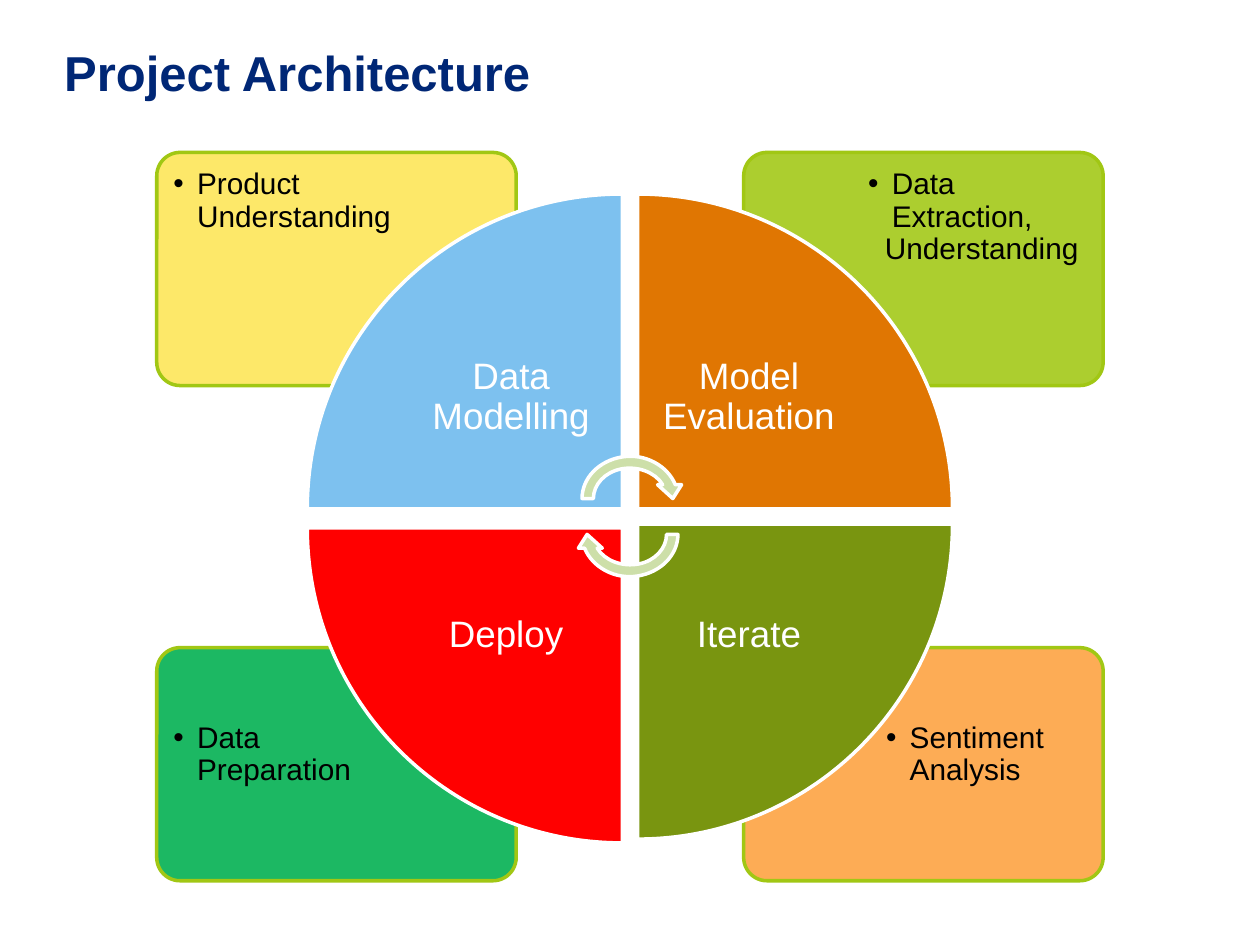
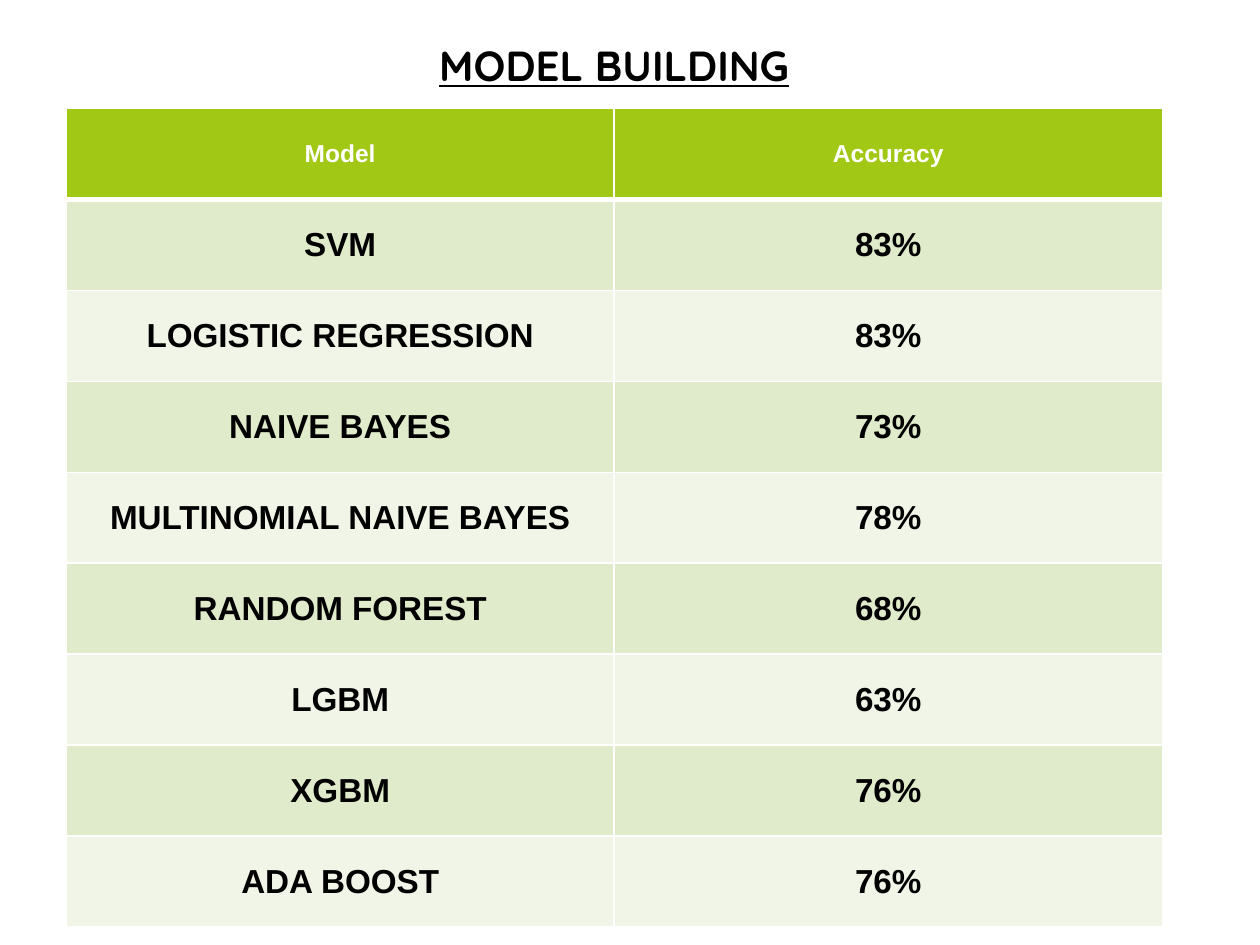
"""Builds two slides: a project architecture cycle and a table of model accuracies."""
from math import cos, radians, sin

from lxml.etree import Element, SubElement
from pptx import Presentation
from pptx.dml.color import RGBColor
from pptx.enum.shapes import MSO_SHAPE as SHAPE
from pptx.enum.text import MSO_ANCHOR as ANCHOR, MSO_AUTO_SIZE as AUTO_SIZE, PP_ALIGN as ALIGN
from pptx.oxml.ns import qn
from pptx.util import Pt

NAVY = RGBColor(0x00, 0x27, 0x76)
BLACK = RGBColor(0x00, 0x00, 0x00)
WHITE = RGBColor(0xFF, 0xFF, 0xFF)
LIME_EDGE = RGBColor(0xA1, 0xC7, 0x14)
LIME = RGBColor(0xA2, 0xC8, 0x16)
YELLOW = RGBColor(0xFD, 0xE6, 0x57)
GREEN = RGBColor(0x00, 0xB0, 0x50)
PEACH = RGBColor(0xFD, 0xAC, 0x55)
BLUE = RGBColor(0x7D, 0xC1, 0xEF)
ORANGE = RGBColor(0xE0, 0x76, 0x02)
OLIVE = RGBColor(0x79, 0x95, 0x10)
RED = RGBColor(0xFF, 0x00, 0x00)
ARROW_GREEN = RGBColor(0xCD, 0xDF, 0xA9)
BAND_DARK = RGBColor(0xDF, 0xEB, 0xCA)
BAND_LIGHT = RGBColor(0xF0, 0xF5, 0xE7)


def write(para, text, size, color, bold=False, font="Arial"):
    span = para.add_run()
    span.text = text
    span.font.name = font
    span.font.size = Pt(size)
    span.font.bold = bold
    span.font.color.rgb = color
    return span


def draw_outline(page, center, scale, segments, color):
    corners = [
        (Pt(center[0] + scale * x), Pt(center[1] + scale * y))
        for segment in segments for x, y in segment
    ]
    builder = page.shapes.build_freeform(*corners[0], scale=1.0)
    builder.add_line_segments(corners[1:], close=True)
    outline = builder.convert_to_shape()
    steps = list(outline._element.iter(qn("a:lnTo")))
    for segment in segments[1:]:
        taken, steps = steps[:len(segment)], steps[len(segment):]
        if len(taken) == 3:
            curve = Element(qn("a:cubicBezTo"))
            taken[0].addprevious(curve)
            for step in taken:
                curve.append(step[0])
                step.getparent().remove(step)
    outline.shadow.inherit = False
    outline.fill.solid()
    outline.fill.fore_color.rgb = color
    outline.line.color.rgb = WHITE
    outline.line.width = Pt(2)


deck = Presentation()
deck.slide_width, deck.slide_height = Pt(720), Pt(540)

titles = [
    ("Project Architecture", (29.5, 20.6, 483, 41), ALIGN.LEFT, ANCHOR.TOP, 28, NAVY, "Arial", False),
    ("MODEL BUILDING", (79.4, 8.2, 543, 57.6), ALIGN.CENTER, ANCHOR.MIDDLE, 24, BLACK, "Quicksand", True),
]
pages = []
for text, place, align, anchor, size, color, font, underlined in titles:
    page = deck.slides.add_slide(deck.slide_layouts[5])
    title = page.shapes.title
    title.left, title.top, title.width, title.height = map(Pt, place)
    title.text_frame.auto_size = AUTO_SIZE.NONE
    title.text_frame.vertical_anchor = anchor
    para = title.text_frame.paragraphs[0]
    para.alignment = align
    span = write(para, text, size, color, True, font)
    span.font.underline = underlined
    pages.append(page)
cycle_page, table_page = pages

cards = [
    (425, 370.1, PEACH, 100, 499.9, 127.4, 406.4, ["Sentiment Analysis"]),
    (89.6, 370.1, GREEN, 89, 92.6, 138.2, 406.4, ["Data Preparation"]),
    (425, 87.1, LIME, 89, 489.6, 138.2, 90.2, ["Data Extraction,", "Understanding"]),
    (89.6, 87.1, YELLOW, 89, 92.6, 138.2, 90.2, ["Product Understanding"]),
]
for left, top, color, opacity, text_left, text_width, text_top, lines in cards:
    card = cycle_page.shapes.add_shape(SHAPE.ROUNDED_RECTANGLE, Pt(left), Pt(top), Pt(205.4), Pt(133.2))
    card.adjustments[0] = 0.1
    card.shadow.inherit = False
    card.fill.solid()
    card.fill.fore_color.rgb = color
    if opacity < 100:
        tint = card._element.spPr.find(qn("a:solidFill"))[0]
        SubElement(tint, qn("a:alpha"), val=str(opacity * 1000))
    card.line.color.rgb = LIME_EDGE
    card.line.width = Pt(2)

    box = cycle_page.shapes.add_textbox(Pt(text_left), Pt(text_top), Pt(text_width), Pt(94.3))
    frame = box.text_frame
    frame.word_wrap = True
    frame.margin_left = frame.margin_right = frame.margin_top = frame.margin_bottom = Pt(6.5)
    for index, line in enumerate(lines):
        para = frame.paragraphs[0] if index == 0 else frame.add_paragraph()
        para.line_spacing = 0.9
        para.alignment = ALIGN.JUSTIFY if len(lines) > 1 else ALIGN.LEFT
        write(para, line, 17, BLACK)
        properties = para._p.get_or_add_pPr()
        if index == 0:
            properties.set("marL", str(Pt(13.5)))
            properties.set("indent", str(-Pt(13.5)))
            SubElement(properties, qn("a:buFont"), typeface="Arial")
            SubElement(properties, qn("a:buChar"), char="•")
        else:
            properties.set("marL", str(Pt(9.5)))
            properties.set("indent", "0")

RADIUS = 180
ARC_PULL = 0.5523
LABEL_SIDE = 127.4
quadrants = [
    ("Data Modelling", 355.6, 290.9, 180, BLUE, 228.4, 163.5),
    ("Model Evaluation", 364.3, 290.9, 270, ORANGE, 364.3, 163.5),
    ("Iterate", 364.3, 299.5, 0, OLIVE, 364.3, 299.5),
    ("Deploy ", 355.6, 301.7, 90, RED, 228.4, 299.5),
]
for label, center_x, center_y, start, color, left, top in quadrants:
    x, y = cos(radians(start)), sin(radians(start))
    arc = [(x - ARC_PULL * y, y + ARC_PULL * x), (ARC_PULL * x - y, ARC_PULL * y + x), (-y, x)]
    draw_outline(cycle_page, (center_x, center_y), RADIUS, [[(x, y)], arc, [(0, 0)]], color)
    box = cycle_page.shapes.add_textbox(Pt(left), Pt(top), Pt(LABEL_SIDE), Pt(LABEL_SIDE))
    frame = box.text_frame
    frame.word_wrap = True
    frame.vertical_anchor = ANCHOR.MIDDLE
    frame.margin_left = frame.margin_right = frame.margin_top = frame.margin_bottom = Pt(11.5)
    para = frame.paragraphs[0]
    para.alignment = ALIGN.CENTER
    para.line_spacing = 0.9
    write(para, label, 21, WHITE)

cycle_arrow = [
    [(-27.4, 0)],
    [(-27.4, -11.5), (-18, -21.6), (-4.3, -23.8)],
    [(8.6, -25.9), (21.6, -18.7), (25.9, -7.9)],
    [(29.5, -7.9)],
    [(24.5, 0)],
    [(15.8, -7.9)],
    [(18.7, -7.9)],
    [(14.4, -15.1), (4.3, -18.7), (-5, -16.9)],
    [(-14.4, -15.1), (-20.9, -7.9), (-20.9, 0)],
]
for center_y, direction in [(284.9, 1), (305.4, -1)]:
    draw_outline(cycle_page, (360, center_y), direction, cycle_arrow, ARROW_GREEN)

accuracies = [
    ("Model", "Accuracy"),
    ("SVM", "83%"),
    ("LOGISTIC REGRESSION", "83%"),
    ("NAIVE BAYES", "73%"),
    ("MULTINOMIAL NAIVE BAYES", "78%"),
    ("RANDOM FOREST", "68%"),
    ("LGBM", "63%"),
    ("XGBM", "76%"),
    ("ADA BOOST", "76%"),
]
ROW_HEIGHT, COLUMN_WIDTH = 52, 313.2
table = table_page.shapes.add_table(
    len(accuracies), 2, Pt(37.8), Pt(61.9), Pt(2 * COLUMN_WIDTH), Pt(len(accuracies) * ROW_HEIGHT)
).table
for column in table.columns:
    column.width = Pt(COLUMN_WIDTH)
for row_index, values in enumerate(accuracies):
    table.rows[row_index].height = Pt(ROW_HEIGHT)
    is_header = row_index == 0
    for column_index, value in enumerate(values):
        cell = table.cell(row_index, column_index)
        cell.vertical_anchor = ANCHOR.MIDDLE
        para = cell.text_frame.paragraphs[0]
        para.alignment = ALIGN.CENTER
        write(para, value, 14 if is_header else 19, WHITE if is_header else BLACK, True)
        borders = {"a:lnL": 1, "a:lnR": 1, "a:lnT": 3 if row_index == 1 else 1, "a:lnB": 3 if is_header else 1}
        for tag, width in borders.items():
            border = SubElement(cell._tc.get_or_add_tcPr(), qn(tag), w=str(Pt(width)))
            SubElement(SubElement(border, qn("a:solidFill")), qn("a:srgbClr"), val=str(WHITE))
        cell.fill.solid()
        cell.fill.fore_color.rgb = LIME if is_header else BAND_DARK if row_index % 2 else BAND_LIGHT

deck.save("out.pptx")
